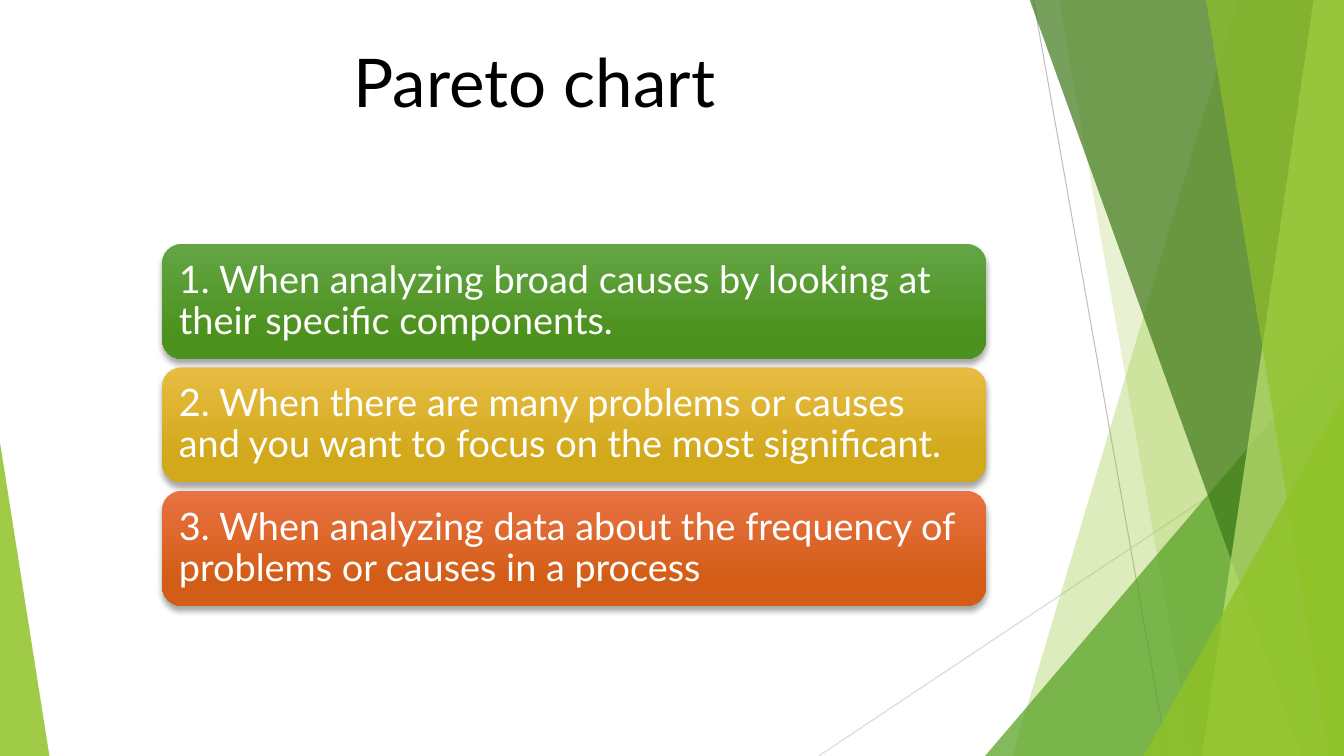
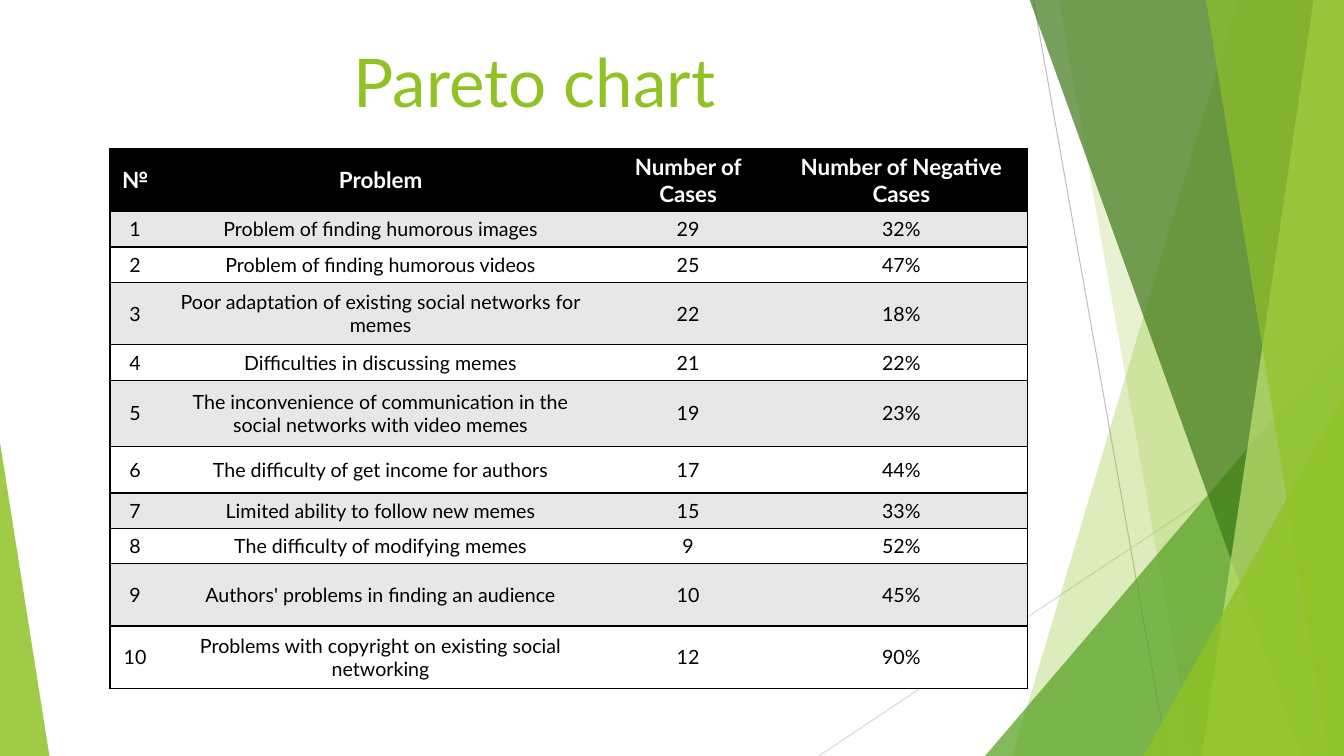
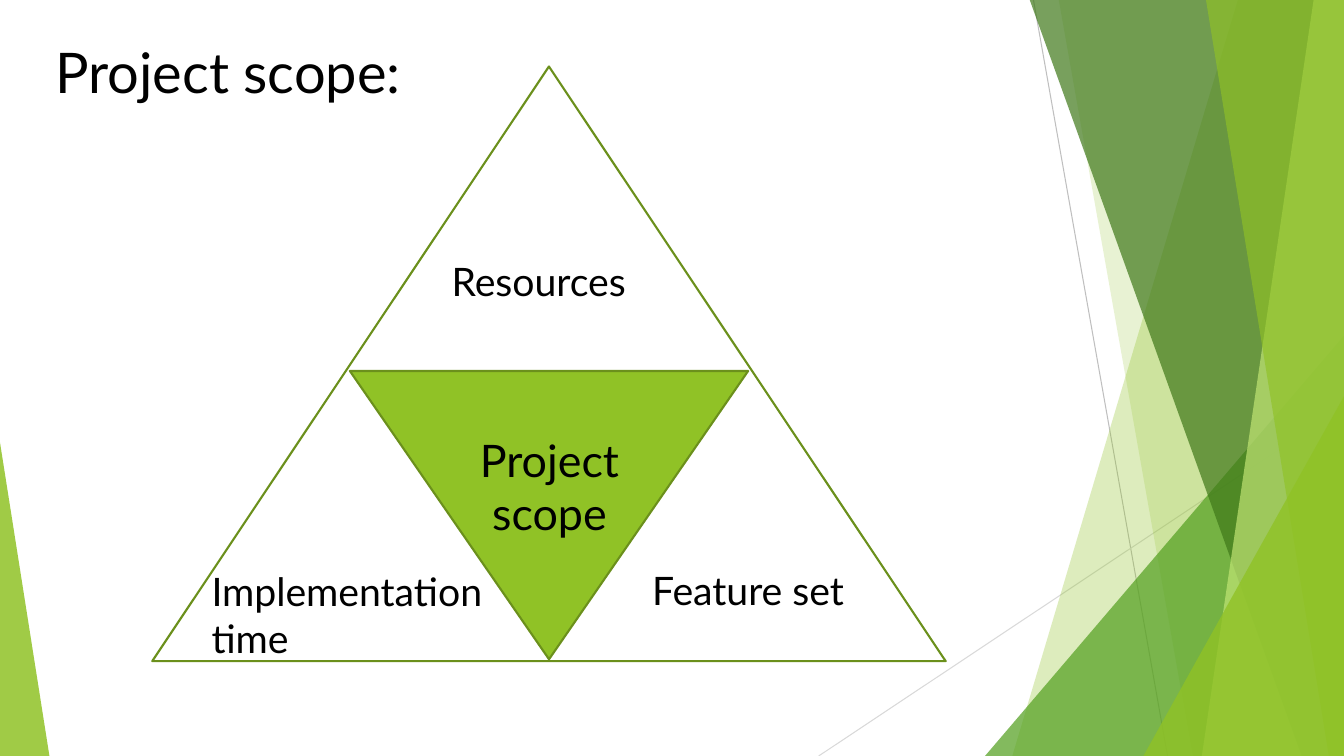
from lxml import etree
from pptx import Presentation
from pptx import util as u
from pptx.dml import color
from pptx.enum import shapes, text
from pptx.oxml import ns

SCALE = 9144
WIDTH, HEIGHT = 1333, 750
FONT = "Lato"
BLACK, WHITE, GRAY = "000000", "FFFFFF", "E7E7E7"
LIME, OLIVE = "90C226", "6B901C"
NO_STYLE = "{2D5ABB26-0587-4C30-8999-92F81FD0307C}"
TITLE_BOX = (77, 5, 906, 120)

GUIDE_LINES = [
    ((1025, 0), (1158, HEIGHT), "BFBFBF"),
    ((WIDTH, 403), (812, HEIGHT), "D9D9D9"),
]
FACETS = [
    ("band", (1228, 1004), LIME, 30),
    ("band", (1050, 1183), LIME, 20),
    ("triangle", (977, 333, 356, 417, 1), "54A021", 72),
    ("band", (1021, 1291), "3F7819", 70),
    ("band", (1303, 1192), "C0E474", 70),
    ("band", (1196, 1318), LIME, 65),
    ("triangle", (1134, 393, 199, 357, 1), LIME, 80),
    ("triangle", (0, 439, 49, 311, 0), LIME, 85),
]
USES = [
    ("1. When analyzing broad causes by looking at their specific components.", "63A545", "4D921E"),
    ("2. When there are many problems or causes and you want to focus on the most significant.",
     "E7BC43", "D2A91B"),
    ("3. When analyzing data about the frequency of problems or causes in a process",
     "E87242", "D35D16"),
]
HEADINGS = ("№", "Problem", "Number of Cases", "Number of Negative Cases")
PROBLEMS = [
    ("Problem of finding humorous images", 29, 32, 35),
    ("Problem of finding humorous videos", 25, 47, 35),
    ("Poor adaptation of existing social networks for memes", 22, 18, 62),
    ("Difficulties in discussing memes", 21, 22, 35),
    ("The inconvenience of communication in the social networks with video memes", 19, 23, 66),
    ("The difficulty of get income for authors", 17, 44, 46),
    ("Limited ability to follow new memes", 15, 33, 35),
    ("The difficulty of modifying memes", 9, 52, 35),
    ("Authors' problems in finding an audience", 10, 45, 62),
    ("Problems with copyright on existing social networking", 12, 90, 62),
]
COLUMN_WIDTHS = (50, 437, 173, 250)
HEADER_HEIGHT = 63
SCOPE_LABELS = [
    ("Project scope", (443, 424, 204, 118), 32, text.PP_ALIGN.CENTER),
    ("Resources", (438, 250, 198, 57), 28, text.PP_ALIGN.LEFT),
    ("Implementation time", (200, 558, 303, 104), 28, text.PP_ALIGN.LEFT),
    ("Feature set", (637, 557, 236, 57), 28, text.PP_ALIGN.LEFT),
]


def px(length):
    return u.Emu(round(length * SCALE))


def box(left, top, width, height):
    return px(left), px(top), px(width), px(height)


def rgb(value):
    return color.RGBColor.from_string(value)


def child(parent, tag, **attributes):
    return etree.SubElement(parent, ns.qn(tag), **attributes)


def style_shape(shape, fill, line=None, opacity=100):
    shape.shadow.inherit = False
    shape.fill.solid()
    shape.fill.fore_color.rgb = rgb(fill)
    if opacity < 100:
        fill_color = shape.element.xpath("./p:spPr/a:solidFill/a:srgbClr")[0]
        child(fill_color, "a:alpha", val=str(opacity * 1000))
    if line:
        shape.line.color.rgb = rgb(line)
        shape.line.width = u.Pt(1.5)
    else:
        shape.line.fill.background()


def write(frame, content, size, ink=BLACK, align=text.PP_ALIGN.LEFT, spacing=None, bold=False):
    paragraph = frame.paragraphs[0]
    paragraph.text = content
    paragraph.alignment = align
    paragraph.line_spacing = spacing
    paragraph.font.name = FONT
    paragraph.font.size = u.Pt(size)
    paragraph.font.bold = bold
    paragraph.font.color.rgb = rgb(ink)


def add_guide_line(slide, start, end, ink):
    line = slide.shapes.add_connector(
        shapes.MSO_CONNECTOR.STRAIGHT, px(start[0]), px(start[1]), px(end[0]), px(end[1]))
    line.line.color.rgb = rgb(ink)
    line.line.width = u.Pt(0.75)
    child(line.element.spPr, "a:effectLst")
    return line


def add_band(slide, top_x, bottom_x):
    builder = slide.shapes.build_freeform(top_x, -1, scale=SCALE)
    builder.add_line_segments([(WIDTH, -1), (WIDTH, HEIGHT), (bottom_x, HEIGHT)], close=True)
    return builder.convert_to_shape()


def add_triangle(slide, left, top, width, height, apex=0.5):
    triangle = slide.shapes.add_shape(
        shapes.MSO_SHAPE.ISOSCELES_TRIANGLE, *box(left, top, width, height))
    triangle.adjustments[0] = apex
    return triangle


def decorate_master(master, slide):
    drawn = [add_guide_line(slide, *guide) for guide in GUIDE_LINES]
    builders = {"band": add_band, "triangle": add_triangle}
    for kind, geometry, fill, opacity in FACETS:
        facet = builders[kind](slide, *geometry)
        style_shape(facet, fill, opacity=opacity)
        drawn.append(facet)
    for number, shape in enumerate(drawn, start=20):
        shape.element.xpath(".//p:cNvPr")[0].set("id", str(number))
        master.shapes.element.append(shape.element)


def place_title(title, bounds):
    title.left, title.top, title.width, title.height = box(*bounds)


def set_title(slide, content, size=48, ink=BLACK, align=text.PP_ALIGN.CENTER,
              anchor=text.MSO_ANCHOR.BOTTOM, spacing=None):
    frame = slide.shapes.title.text_frame
    frame.vertical_anchor = anchor
    frame.auto_size = text.MSO_AUTO_SIZE.NONE
    write(frame, content, size, ink, align, spacing)


def add_label(slide, content, bounds, size, align):
    frame = slide.shapes.add_textbox(*box(*bounds)).text_frame
    frame.word_wrap = True
    write(frame, content, size, align=align)


def add_card(slide, top, content, light, dark):
    card = slide.shapes.add_shape(shapes.MSO_SHAPE.ROUNDED_RECTANGLE, *box(161, top, 817, 114))
    card.fill.gradient()
    card.fill.gradient_angle = 270
    for stop, ink, position in zip(card.fill.gradient_stops, (light, dark), (0, 0.78)):
        stop.color.rgb = rgb(ink)
        stop.position = position
    card.line.fill.background()
    card.shadow.inherit = False
    effects = card.element.spPr.find(ns.qn("a:effectLst"))
    shadow = child(effects, "a:outerShdw", blurRad=str(u.Pt(4)), dist=str(u.Pt(3)),
                   dir="5400000", rotWithShape="0")
    child(child(shadow, "a:srgbClr", val=BLACK), "a:alpha", val="35000")
    frame = card.text_frame
    frame.word_wrap = True
    frame.vertical_anchor = text.MSO_ANCHOR.MIDDLE
    frame.margin_left = frame.margin_right = frame.margin_top = frame.margin_bottom = px(11)
    write(frame, content, 27, WHITE, spacing=0.9)


def set_borders(cell, sides):
    properties = cell._tc.get_or_add_tcPr()
    for side in sides:
        line = child(properties, f"a:ln{side}", w=str(u.Pt(1)))
        child(child(line, "a:solidFill"), "a:srgbClr", val=BLACK)


def add_problem_table(slide):
    rows = [HEADINGS] + [
        (str(number), problem, str(cases), f"{negative}%")
        for number, (problem, cases, negative, _) in enumerate(PROBLEMS, start=1)]
    heights = [HEADER_HEIGHT] + [problem[-1] for problem in PROBLEMS]
    frame = slide.shapes.add_table(
        len(rows), len(HEADINGS), *box(109, 147, sum(COLUMN_WIDTHS), sum(heights)))
    table = frame.table
    frame.element.xpath(".//a:tableStyleId")[0].text = NO_STYLE
    for column, width in zip(table.columns, COLUMN_WIDTHS):
        column.width = px(width)
    border_sides = ("LTB", "TB", "TB", "RTB")
    for row_index, (row, height) in enumerate(zip(rows, heights)):
        table.rows[row_index].height = px(height)
        is_header = row_index == 0
        fill = BLACK if is_header else GRAY if row_index % 2 else WHITE
        for column_index, content in enumerate(row):
            cell = table.cell(row_index, column_index)
            set_borders(cell, border_sides[column_index])
            cell.fill.solid()
            cell.fill.fore_color.rgb = rgb(fill)
            cell.vertical_anchor = text.MSO_ANCHOR.MIDDLE
            write(cell.text_frame, content, 16 if is_header else 14,
                  WHITE if is_header else BLACK, text.PP_ALIGN.CENTER, bold=is_header)


def fill_uses_slide(slide):
    set_title(slide, "Pareto chart")
    for index, (content, light, dark) in enumerate(USES):
        add_card(slide, 242 + index * 122.5, content, light, dark)


def fill_problems_slide(slide):
    set_title(slide, "Pareto chart", ink=LIME)
    add_problem_table(slide)


def fill_scope_slide(slide):
    place_title(slide.shapes.title, (45, 40, 384, 98))
    set_title(slide, "Project scope:", size=40, align=text.PP_ALIGN.LEFT,
              anchor=text.MSO_ANCHOR.TOP, spacing=0.9)
    style_shape(add_triangle(slide, 151, 66, 787, 590), WHITE, OLIVE)
    center = add_triangle(slide, 347, 368, 395, 286)
    center.rotation = 180
    style_shape(center, LIME, OLIVE)
    for label in SCOPE_LABELS:
        add_label(slide, *label)


def main():
    presentation = Presentation()
    presentation.slide_width, presentation.slide_height = px(WIDTH), px(HEIGHT)
    layout = presentation.slide_layouts.get_by_name("Title Only")
    place_title(layout.placeholders[0], TITLE_BOX)
    uses, problems, scope = [presentation.slides.add_slide(layout) for _ in range(3)]
    decorate_master(presentation.slide_master, uses)
    fill_uses_slide(uses)
    fill_problems_slide(problems)
    fill_scope_slide(scope)
    presentation.save("out.pptx")


if __name__ == "__main__":
    main()
